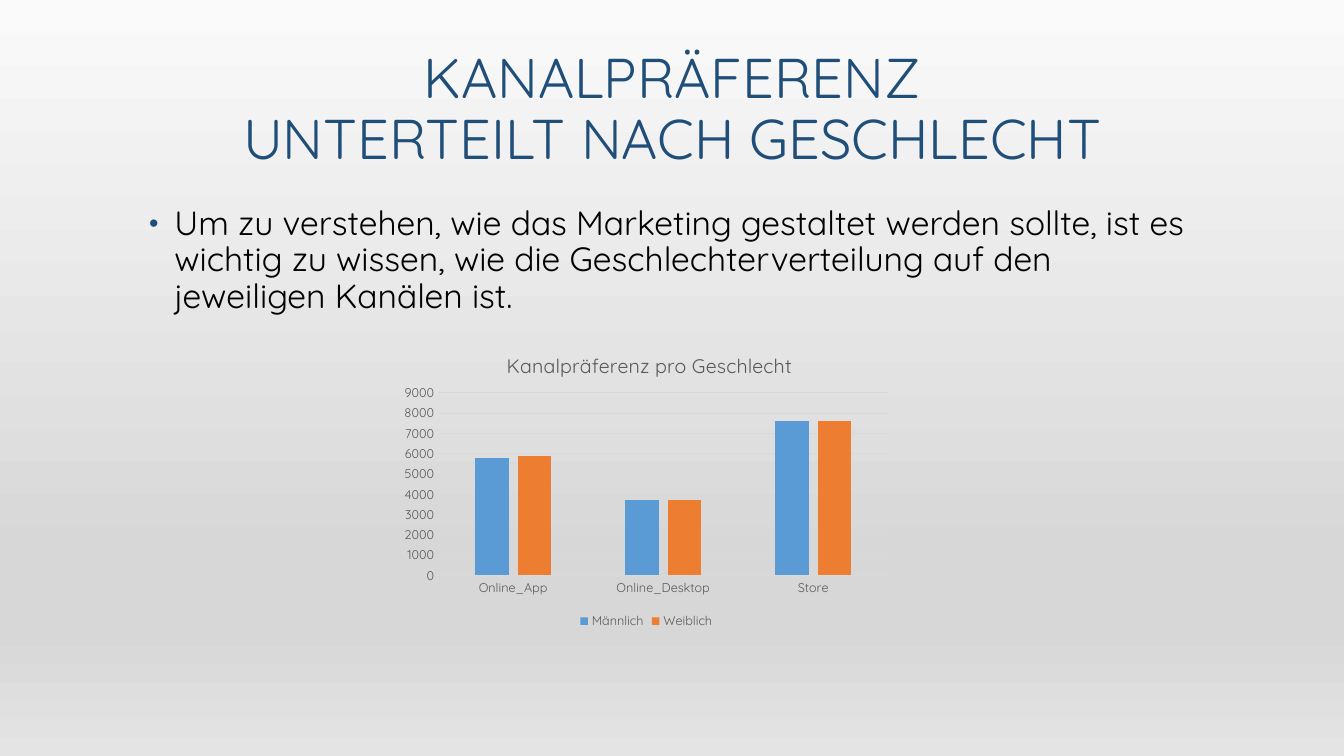
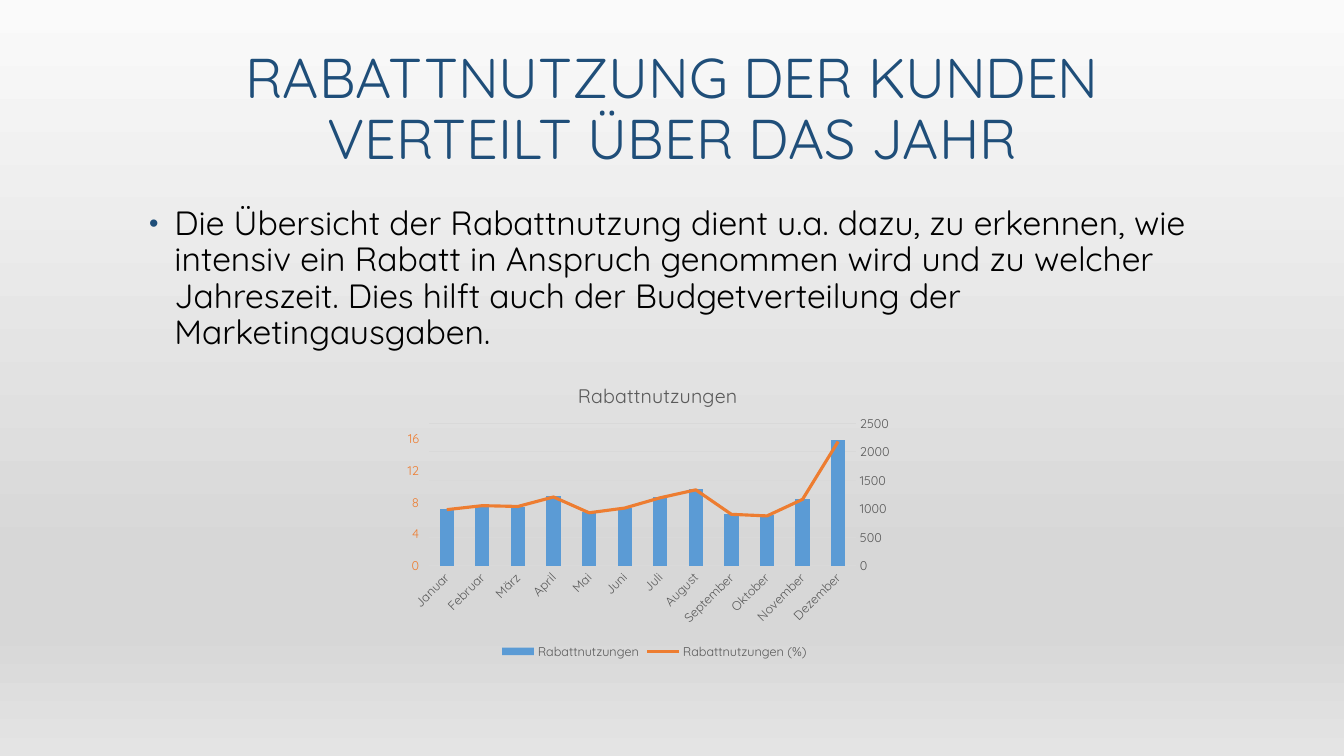
from copy import deepcopy

from pptx import Presentation
from pptx.chart.axis import ValueAxis
from pptx.chart.data import CategoryChartData
from pptx.dml.color import RGBColor
from pptx.enum.chart import XL_CHART_TYPE, XL_LEGEND_POSITION, XL_MARKER_STYLE, XL_TICK_MARK
from pptx.enum.text import MSO_ANCHOR, MSO_AUTO_SIZE, PP_ALIGN
from pptx.oxml import parse_xml
from pptx.oxml.ns import nsdecls
from pptx.util import Inches, Pt

FONT = "Quicksand"
COLORS = {"title": "1F4E79", "text": "000000", "label": "595959", "grid": "D9D9D9",
          "blue": "5B9BD5", "orange": "ED7D31"}
BACKGROUND = [(0, "FAFAFA"), (74, "D7D7D7"), (83, "D7D7D7"), (100, "E4E4E4")]
TITLE_BOX = (1.33, 0.3, 10.67, 1.45)
BODY_BOX = (1.33, 2, 10.67, 4.75)
MONTHS = ["Januar", "Februar", "März", "April", "Mai", "Juni", "Juli", "August",
          "September", "Oktober", "November", "Dezember"]

SLIDES = [
    {"title": "KANALPRÄFERENZ\nUNTERTEILT NACH GESCHLECHT",
     "body": "Um zu verstehen, wie das Marketing gestaltet werden sollte, ist es wichtig zu "
             "wissen, wie die Geschlechterverteilung auf den jeweiligen Kanälen ist.",
     "chart": {"title": "Kanalpräferenz pro Geschlecht", "at": (3.91, 3.28, 5, 3),
               "title_at": (0.216, 0.055), "plot_at": (0.087, 0.206, 0.893, 0.604),
               "cats": ["Online_App", "Online_Desktop", "Store"],
               "series": [("Männlich", [5800, 3700, 7600], "blue"),
                          ("Weiblich", [5900, 3700, 7600], "orange")],
               "gap": 219, "overlap": -27, "scale": (9000, 1000)}},
    {"title": "RABATTNUTZUNG DER KUNDEN\nVERTEILT ÜBER DAS JAHR",
     "body": "Die Übersicht der Rabattnutzung dient u.a. dazu, zu erkennen, wie intensiv ein "
             "Rabatt in Anspruch genommen wird und zu welcher Jahreszeit. Dies hilft auch der "
             "Budgetverteilung der Marketingausgaben.",
     "chart": {"title": "Rabattnutzungen", "at": (3.99, 3.58, 5, 3),
               "title_at": (0.341, 0.055), "plot_at": (0.053, 0.207, 0.847, 0.471),
               "cats": MONTHS,
               "series": [("Rabattnutzungen", [990, 1060, 1040, 1220, 940, 1020, 1210, 1340,
                                               910, 890, 1180, 2210], "blue"),
                          ("Rabattnutzungen (%)", [7.1, 7.6, 7.5, 8.7, 6.7, 7.3, 8.6, 9.6,
                                                   6.5, 6.3, 8.4, 15.7], "orange")],
               "gap": 150, "overlap": 0, "scale": (2500, 500), "line_scale": (18, 2)}},
]


def rgb(name):
    return RGBColor.from_string(COLORS[name])


def set_font(font, size, color):
    font.name, font.size = FONT, Pt(size)
    font.color.rgb = rgb(color)


def set_scale(axis, scale):
    axis.minimum_scale = 0
    axis.maximum_scale, axis.major_unit = scale


def place(sp, box):
    sp.left, sp.top, sp.width, sp.height = map(Inches, box)


def set_background(master):
    fill = master.background.fill
    fill.gradient()
    fill.gradient_angle = 270
    stops = master.element.xpath(".//p:bg//a:gsLst")[0]
    for stop in list(stops):
        stops.remove(stop)
    for pos, color in BACKGROUND:
        stops.append(parse_xml(f'<a:gs {nsdecls("a")} pos="{pos * 1000}">'
                               f'<a:srgbClr val="{color}"/></a:gs>'))


def set_text(sp, text, size, color):
    tf = sp.text_frame
    tf.auto_size, tf.word_wrap = MSO_AUTO_SIZE.NONE, True
    p = tf.paragraphs[0]
    p.text = text
    p.line_spacing = 0.9
    for r in p.runs:
        set_font(r.font, size, color)
    return p


def add_bullet(p):
    p.space_before = Pt(18)
    pPr = p._p.get_or_add_pPr()
    pPr.set("marL", str(Inches(0.3)))
    pPr.set("indent", str(Inches(-0.25)))
    for item in (f'buClr {nsdecls("a")}><a:srgbClr val="{COLORS["title"]}"/></a:buClr>',
                 f'buSzPct {nsdecls("a")} val="80000"/>',
                 f'buFont {nsdecls("a")} typeface="Arial"/>',
                 f'buChar {nsdecls("a")} char="•"/>'):
        pPr.append(parse_xml("<a:" + item))


def set_layout(parent, index, box, inner=False):
    for old in parent.xpath("./c:layout"):
        parent.remove(old)
    target = '<c:layoutTarget val="inner"/>' if inner else ""
    modes = '<c:xMode val="edge"/><c:yMode val="edge"/>'
    sizes = "".join(f'<c:{k} val="{v}"/>' for k, v in zip("xywh", box))
    parent.insert(index, parse_xml(f'<c:layout {nsdecls("c")}><c:manualLayout>{target}{modes}'
                                   f'{sizes}</c:manualLayout></c:layout>'))


def move_to_line(chart, scale):
    plot = chart.element.xpath(".//c:plotArea")[0]
    bars = plot.xpath("./c:barChart")[0]
    ser = bars.xpath("./c:ser")[1]
    cat, val = plot.xpath("./c:catAx")[0], plot.xpath("./c:valAx")[0]
    line_cat, line_val = deepcopy(cat), deepcopy(val)
    for axis, own, other in ((line_cat, "5001", "5002"), (line_val, "5002", "5001")):
        axis.xpath("./c:axId")[0].set("val", own)
        axis.xpath("./c:crossAx")[0].set("val", other)
        plot.xpath("./c:valAx")[-1].addnext(axis)
    line_cat.xpath("./c:delete")[0].set("val", "1")
    line_val.xpath("./c:crosses")[0].set("val", "min")
    val.xpath("./c:axPos")[0].set("val", "r")
    val.xpath("./c:crosses")[0].set("val", "max")
    cat.xpath("./c:txPr/a:bodyPr")[0].set("rot", "-2700000")

    line = parse_xml(f'<c:lineChart {nsdecls("c")}><c:grouping val="standard"/>'
                     '<c:varyColors val="0"/><c:marker val="1"/>'
                     '<c:axId val="5001"/><c:axId val="5002"/></c:lineChart>')
    bars.addnext(line)
    for tag in ser.xpath("./c:invertIfNegative | ./c:spPr"):
        ser.remove(tag)
    line.insert(2, ser)
    series = chart.plots[1].series[0]
    series.smooth = False
    series.marker.style = XL_MARKER_STYLE.NONE
    series.format.line.width = Pt(2.25)
    series.format.line.color.rgb = rgb("orange")

    chart.value_axis.has_major_gridlines = False
    chart.value_axis.major_tick_mark = XL_TICK_MARK.OUTSIDE
    percent = ValueAxis(line_val)
    set_scale(percent, scale)
    set_font(percent.tick_labels.font, 9, "orange")


def add_column_chart(s, c):
    data = CategoryChartData()
    data.categories = c["cats"]
    for name, values, _ in c["series"]:
        data.add_series(name, values)
    chart = s.shapes.add_chart(XL_CHART_TYPE.COLUMN_CLUSTERED, *map(Inches, c["at"]), data).chart
    set_font(chart.font, 10, "text")

    chart.has_title = True
    tf = chart.chart_title.text_frame
    tf.text = c["title"]
    set_font(tf.paragraphs[0].runs[0].font, 14, "label")
    tf.paragraphs[0].runs[0].font.bold = False
    set_layout(chart.element.xpath("./c:chart/c:title")[0], 1, c["title_at"])
    set_layout(chart.element.xpath(".//c:plotArea")[0], 0, c["plot_at"], inner=True)

    chart.has_legend = True
    chart.legend.position = XL_LEGEND_POSITION.BOTTOM
    chart.legend.include_in_layout = False
    set_font(chart.legend.font, 9, "label")

    plot = chart.plots[0]
    plot.gap_width, plot.overlap, plot.vary_by_categories = c["gap"], c["overlap"], False
    for series, (_, _, color) in zip(plot.series, c["series"]):
        series.format.fill.solid()
        series.format.fill.fore_color.rgb = rgb(color)

    cat, val = chart.category_axis, chart.value_axis
    for axis in (cat, val):
        axis.major_tick_mark = XL_TICK_MARK.NONE
        set_font(axis.tick_labels.font, 9, "label")
    val.format.line.fill.background()
    val.has_major_gridlines = True
    for line in (cat.format.line, val.major_gridlines.format.line):
        line.width = Pt(0.75)
        line.color.rgb = rgb("grid")
    set_scale(val, c["scale"])
    if "line_scale" in c:
        move_to_line(chart, c["line_scale"])


def main():
    """Build the two chart slides and save them."""
    prs = Presentation()
    prs.slide_width, prs.slide_height = Inches(13.33), Inches(7.5)
    set_background(prs.slide_master)
    layout = prs.slide_layouts[1]
    for sp, box in zip(layout.placeholders, (TITLE_BOX, BODY_BOX)):
        place(sp, box)
    for content in SLIDES:
        s = prs.slides.add_slide(layout)
        title, body = s.shapes.title, s.placeholders[1]
        set_text(title, content["title"], 40, "title").alignment = PP_ALIGN.CENTER
        title.text_frame.vertical_anchor = MSO_ANCHOR.BOTTOM
        add_bullet(set_text(body, content["body"], 24, "text"))
        add_column_chart(s, content["chart"])
    prs.save("out.pptx")


if __name__ == "__main__":
    main()
